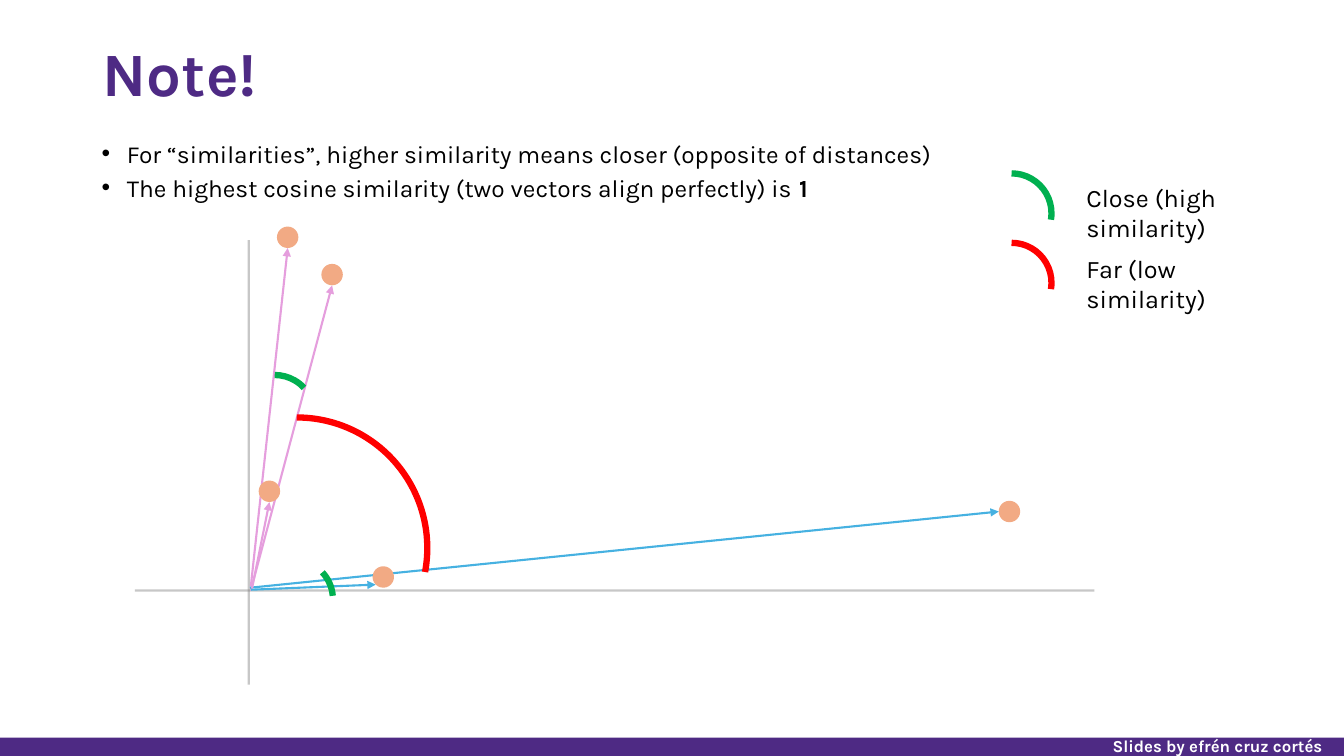
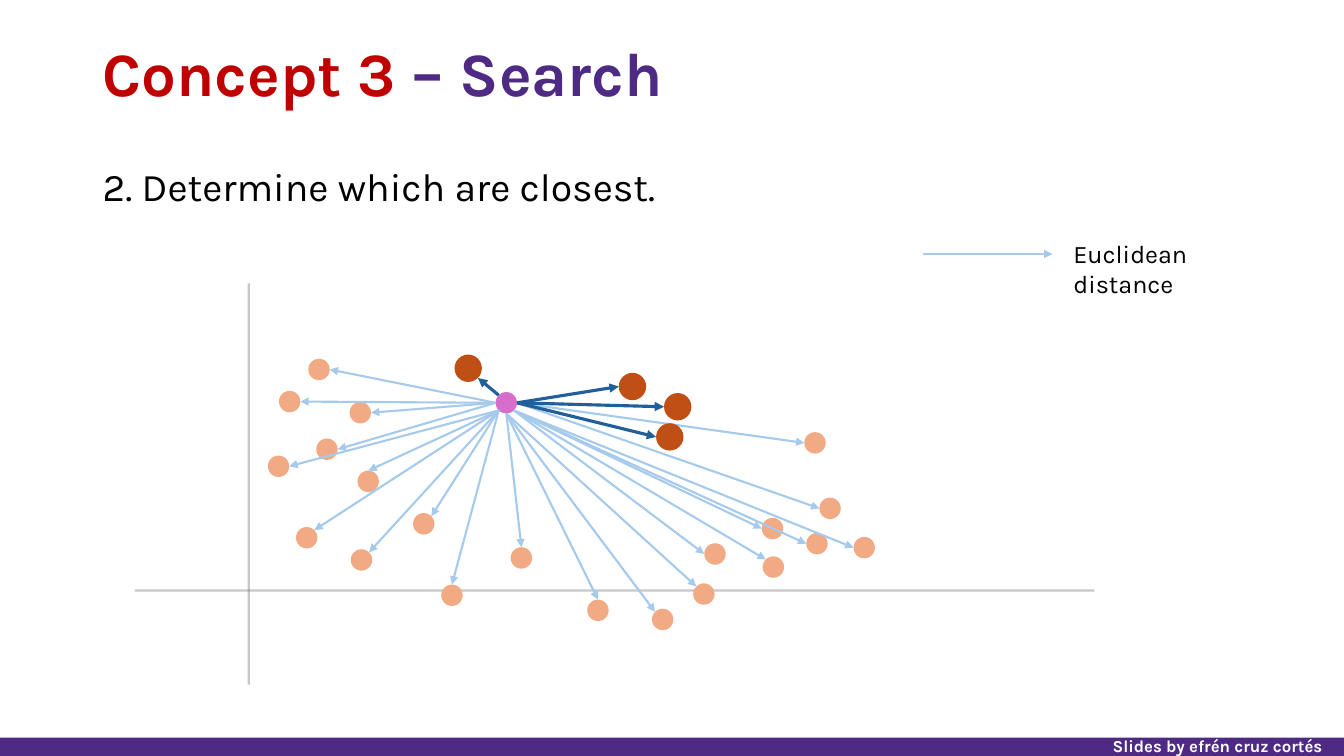
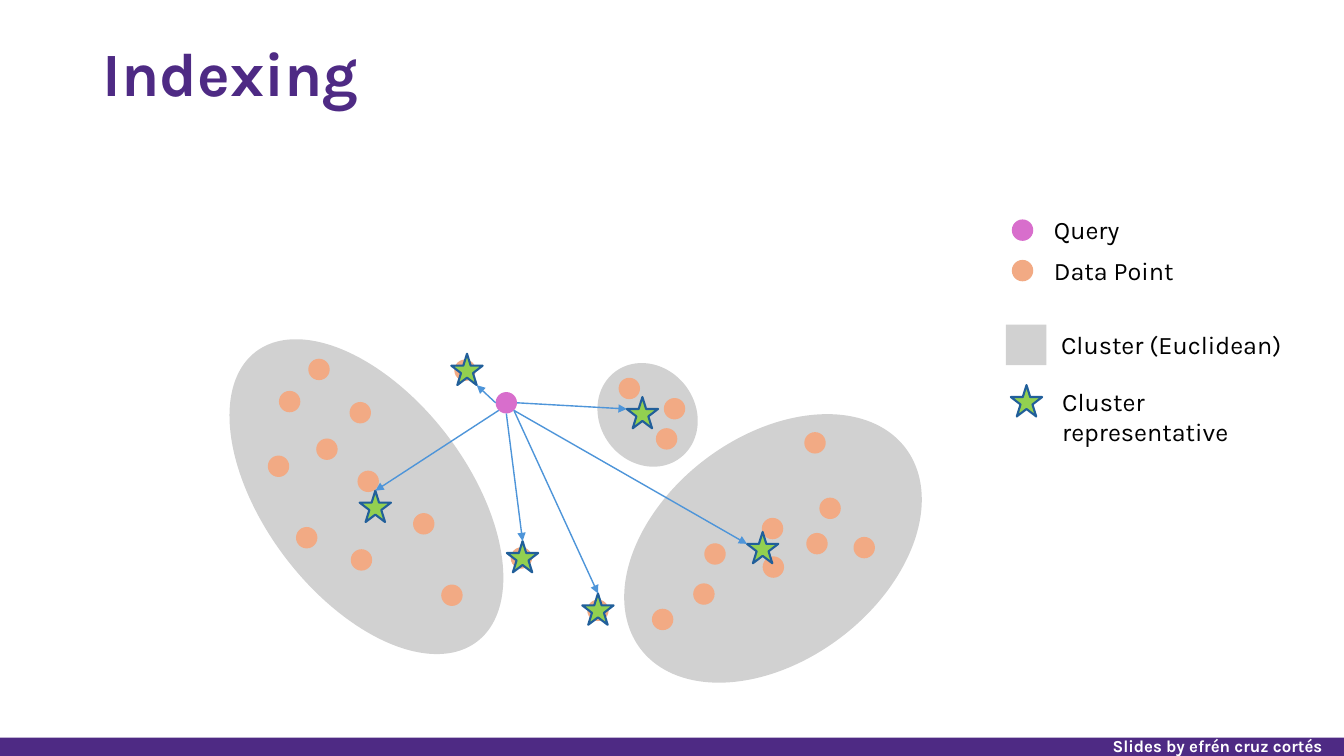
"""Builds three slides on similarity, nearest-neighbour search and indexing."""
from lxml import etree
from pptx import Presentation
from pptx import util as u
from pptx.dml.color import RGBColor
from pptx.enum import shapes, text
from pptx.oxml.ns import qn

PURPLE = RGBColor(0x4E, 0x2A, 0x84)
CRIMSON = RGBColor(0xC0, 0x00, 0x00)
BLACK = RGBColor(0x00, 0x00, 0x00)
WHITE = RGBColor(0xFF, 0xFF, 0xFF)
AXIS_GREY = RGBColor(0x74, 0x74, 0x74)
CLUSTER_GREY = RGBColor(0xD1, 0xD1, 0xD1)
PEACH = RGBColor(0xF2, 0xAA, 0x84)
RUST = RGBColor(0xC0, 0x4F, 0x15)
ORCHID = RGBColor(0xD8, 0x6E, 0xCC)
PINK = RGBColor(0xE5, 0x9E, 0xDD)
CYAN = RGBColor(0x46, 0xB1, 0xE1)
PALE_BLUE = RGBColor(0xA6, 0xCA, 0xEC)
MID_BLUE = RGBColor(0x4E, 0x95, 0xD9)
NAVY = RGBColor(0x21, 0x5F, 0x9A)
GREEN = RGBColor(0x00, 0xB0, 0x50)
LIME = RGBColor(0x92, 0xD0, 0x50)
RED = RGBColor(0xFF, 0x00, 0x00)

DOT, BIG_DOT, STAR = 0.54, 0.69, 0.79
SIDES = {"N": (0, -1), "NE": (0.71, -0.71), "E": (1, 0), "SE": (0.71, 0.71),
         "S": (0, 1), "SW": (-0.71, 0.71), "W": (-1, 0), "NW": (-0.71, -0.71),
         "star top": (0, -1), "star left": (-1, -0.24), "star foot": (0.62, 1)}

QUERY = (12.76, 10.15)
POINTS = [
    (8.04, 9.31, "W", "E"), (7.3, 10.12, "W", "E"), (7.02, 11.75, "SW", "E"),
    (8.24, 11.32, "W", "E"), (20.59, 13.7, "SE", "W"), (19.47, 13.32, "SE", "W"),
    (20.92, 12.81, "E", "W"), (21.78, 13.8, "SE", "W"), (9.08, 10.4, "W", "E"),
    (19.49, 14.29, "SE", "NW"), (18.02, 13.96, "SE", "W"), (9.28, 12.13, "SW", "N"),
    (20.54, 11.16, "E", "W"), (10.68, 13.2, "SW", "NE"), (7.73, 13.55, "SW", "NE"),
    (11.39, 15, "SW", "N"), (9.11, 14.11, "SW", "NE"), (13.14, 14.06, "S", "N"),
    (17.74, 14.97, "S", "NW"), (16.7, 15.61, "S", "NW"), (15.07, 15.38, "S", "N"),
]
NEAREST = [(11.8, 9.28, "NW", "SE"), (16.88, 11.01, "E", "W"),
           (15.94, 9.74, "E", "W"), (17.08, 10.25, "E", "W")]
REPRESENTATIVES = [
    (16.19, 10.4, "E", "star left"), (19.22, 13.8, "SE", "star left"),
    (11.77, 9.31, "W", "star foot"), (13.17, 14.03, "S", "star top"),
    (15.07, 15.35, "SE", "star top"), (9.46, 12.76, "SW", "star top"),
]


def edge(center, size, side):
    """Return the point on the rim of a mark that faces the given side."""
    return tuple(c + size / 2 * d for c, d in zip(center, SIDES[side]))


class Deck:
    """Holds the presentation style and the slide being drawn."""

    FONT = "Karla"
    WIDTH, HEIGHT = 33.87, 19.05

    def __init__(self):
        """Start an empty widescreen presentation."""
        self.prs = Presentation()
        self.prs.slide_width = u.Cm(self.WIDTH)
        self.prs.slide_height = u.Cm(self.HEIGHT)

    def new_slide(self, *title):
        """Add a slide with the footer band and a title made of runs."""
        self.slide = self.prs.slides.add_slide(self.prs.slide_layouts[6])
        self.shape("RECTANGLE", (0, 18.59, self.WIDTH, 0.46), PURPLE)
        self.text((27.56, 18.42, 6.25, 0.76),
                  [[("Slides by efrén cruz cortés", WHITE, True)]], 12,
                  anchor="BOTTOM", align="CENTER")
        self.text((2.34, 0.69, 29.21, 2.49),
                  [[(words, color, True) for words, color in title]], 44,
                  anchor="MIDDLE", spacing=0.9)

    def text(self, box, paragraphs, size, anchor="TOP", align="LEFT",
             spacing=1.0, bullet=False):
        """Add a text box; each paragraph is a list of (words, colour, bold)."""
        frame = self.slide.shapes.add_textbox(*map(u.Cm, box)).text_frame
        frame.word_wrap = True
        frame.vertical_anchor = getattr(text.MSO_ANCHOR, anchor)
        for index, runs in enumerate(paragraphs):
            paragraph = frame.add_paragraph() if index else frame.paragraphs[0]
            if bullet:
                props = paragraph._p.get_or_add_pPr()
                props.set("marL", str(u.Cm(0.64)))
                props.set("indent", str(u.Cm(-0.64)))
                etree.SubElement(props, qn("a:buFont")).set("typeface", "Arial")
                etree.SubElement(props, qn("a:buChar")).set("char", "•")
            paragraph.alignment = getattr(text.PP_ALIGN, align)
            paragraph.line_spacing = spacing
            if index:
                paragraph.space_before = u.Pt(10)
            for words, color, bold in runs:
                run = paragraph.add_run()
                run.text = words
                run.font.name = self.FONT
                run.font.size = u.Pt(size)
                run.font.bold = bold
                run.font.color.rgb = color

    def label(self, left, top, width, words):
        """Add a legend label."""
        self.text((left, top, width, 1.02), [[(words, BLACK, False)]], 18)

    def shape(self, kind, box, fill=None, line=None, weight=1.5, turn=0):
        """Add a preset shape with an optional fill and outline."""
        preset = getattr(shapes.MSO_SHAPE, kind)
        shape = self.slide.shapes.add_shape(preset, *map(u.Cm, box))
        shape.shadow.inherit = False
        shape.rotation = turn
        if fill is None:
            shape.fill.background()
        else:
            shape.fill.solid()
            shape.fill.fore_color.rgb = fill
        if line is None:
            shape.line.fill.background()
        else:
            shape.line.color.rgb = line
            shape.line.width = u.Pt(weight)
        return shape

    def dot(self, center, color=PEACH, size=DOT):
        """Add a round mark around its centre."""
        x, y = center
        self.shape("OVAL", (x - size / 2, y - size / 2, size, size), color)

    def star(self, center):
        """Add a cluster representative around its centre."""
        x, y = center
        self.shape("STAR_5_POINT", (x - STAR / 2, y - STAR / 2, STAR, STAR), LIME, NAVY)

    def arc(self, left, top, size, color, start, end, turn=0):
        """Add a thick arc between two angles in degrees."""
        arc = self.shape("ARC", (left, top, size, size), None, color, 4.5, turn)
        for index, angle in enumerate((start, end)):
            arc.adjustments[index] = angle * 0.6

    def line(self, start, end, color, weight=1.5, arrow=True, opacity=None):
        """Add a straight line, by default with an arrowhead at its end."""
        line = self.slide.shapes.add_connector(
            shapes.MSO_CONNECTOR.STRAIGHT, *map(u.Cm, (*start, *end)))
        line.line.color.rgb = color
        line.line.width = u.Pt(weight)
        props = line._element.spPr
        outline = props.find(qn("a:ln"))
        if opacity:
            tint = outline.find(".//" + qn("a:srgbClr"))
            etree.SubElement(tint, qn("a:alpha")).set("val", str(opacity * 1000))
        if arrow:
            etree.SubElement(outline, qn("a:tailEnd")).set("type", "triangle")
        etree.SubElement(props, qn("a:effectLst"))

    def axes(self, top):
        """Add the pair of translucent axes."""
        for start, end in (((6.27, top), (6.27, 17.25)), ((3.4, 14.88), (27.58, 14.88))):
            self.line(start, end, AXIS_GREY, arrow=False, opacity=40)

    def query_arrows(self, targets, size, color, weight=1.5):
        """Add arrows from the query to the rim of each target."""
        for x, y, start, end in targets:
            self.line(edge(QUERY, DOT, start), edge((x, y), size, end), color, weight)


def note_slide(deck):
    """Draw the cosine similarity note."""
    deck.new_slide(("Note!", PURPLE))
    deck.axes(6.05)
    vectors = [((6.32, 14.78), (7.25, 5.98), "S", PINK),
               ((6.32, 14.88), (8.37, 6.92), "S", PINK),
               ((6.3, 14.81), (25.44, 12.89), "W", CYAN),
               ((6.32, 14.86), (9.66, 14.54), "SW", CYAN),
               ((6.35, 14.83), (6.79, 12.38), "S", PINK)]
    for origin, tip, side, color in vectors:
        deck.line(origin, edge(tip, DOT, side), color)
        deck.dot(tip)
    deck.text((2.31, 3.58, 21.87, 1.88), [
        [("For “similarities”, higher similarity means closer (opposite of distances)",
          BLACK, False)],
        [("The highest cosine similarity (two vectors align perfectly) is ", BLACK, False),
         ("1", BLACK, True)],
    ], 17.5, align="JUSTIFY", spacing=0.7, bullet=True)
    deck.arc(5.92, 9.45, 2.01, GREEN, 270, 317.29)
    deck.arc(6.38, 14.1, 2.01, GREEN, 252.92, 290.56, 64.3)
    deck.arc(4.19, 10.52, 6.58, RED, 270, 10.6)
    legend = [(4.37, 4.47, 6.45, GREEN, "Close (high similarity)"),
              (6.12, 6.25, 5.54, RED, "Far (low similarity)")]
    for arc_top, label_top, width, color, words in legend:
        deck.arc(24.49, arc_top, 2.01, color, 270, 9.26)
        deck.label(27.13, label_top, width, words)


def search_slide(deck):
    """Draw the distances from the query to every point."""
    deck.new_slide(("Concept 3", CRIMSON), (" – Search", PURPLE))
    deck.text((2.34, 4.09, 29.21, 2.79),
              [[("2. Determine which are closest.", BLACK, False)]], 28,
              align="JUSTIFY", spacing=0.9)
    deck.axes(7.14)
    for x, y, *_ in POINTS:
        deck.dot((x, y))
    deck.dot(QUERY, ORCHID)
    deck.query_arrows(POINTS, DOT, PALE_BLUE)
    for x, y, *_ in NEAREST:
        deck.dot((x, y), RUST, BIG_DOT)
    deck.query_arrows(NEAREST, BIG_DOT, NAVY, 2.25)
    deck.line((23.27, 6.4), (26.52, 6.4), PALE_BLUE)
    deck.label(26.8, 5.87, 5.79, "Euclidean distance")


def indexing_slide(deck):
    """Draw the clusters and their representatives."""
    deck.new_slide(("Indexing", PURPLE))
    clusters = [((16.66, 9.63, 5.64, 8.38), 52.9), ((14.96, 9.25, 2.72, 2.41), 52.9),
                ((6.68, 7.92, 5.11, 9.19), 322.6)]
    for box, turn in clusters:
        deck.shape("OVAL", box, CLUSTER_GREY, turn=turn)
    for x, y, *_ in POINTS:
        deck.dot((x, y))
    for x, y, *_ in NEAREST:
        deck.dot((x - 0.08, y + 0.05))
    deck.dot(QUERY, ORCHID)
    for x, y, *_ in REPRESENTATIVES:
        deck.star((x, y))
    deck.query_arrows(REPRESENTATIVES, STAR, MID_BLUE, 1)
    deck.dot((25.77, 5.8), ORCHID)
    deck.dot((25.77, 6.82))
    deck.shape("RECTANGLE", (25.35, 8.18, 1.02, 1.02), CLUSTER_GREY)
    deck.star((25.87, 10.1))
    deck.label(26.31, 5.28, 2.77, "Query")
    deck.label(26.31, 6.32, 4.24, "Data Point")
    deck.label(26.49, 8.18, 6.12, "Cluster (Euclidean)")
    deck.label(26.52, 9.6, 5.23, "Cluster representative")


def main():
    """Build and save the presentation."""
    deck = Deck()
    note_slide(deck)
    search_slide(deck)
    indexing_slide(deck)
    deck.prs.save("out.pptx")


if __name__ == "__main__":
    main()
